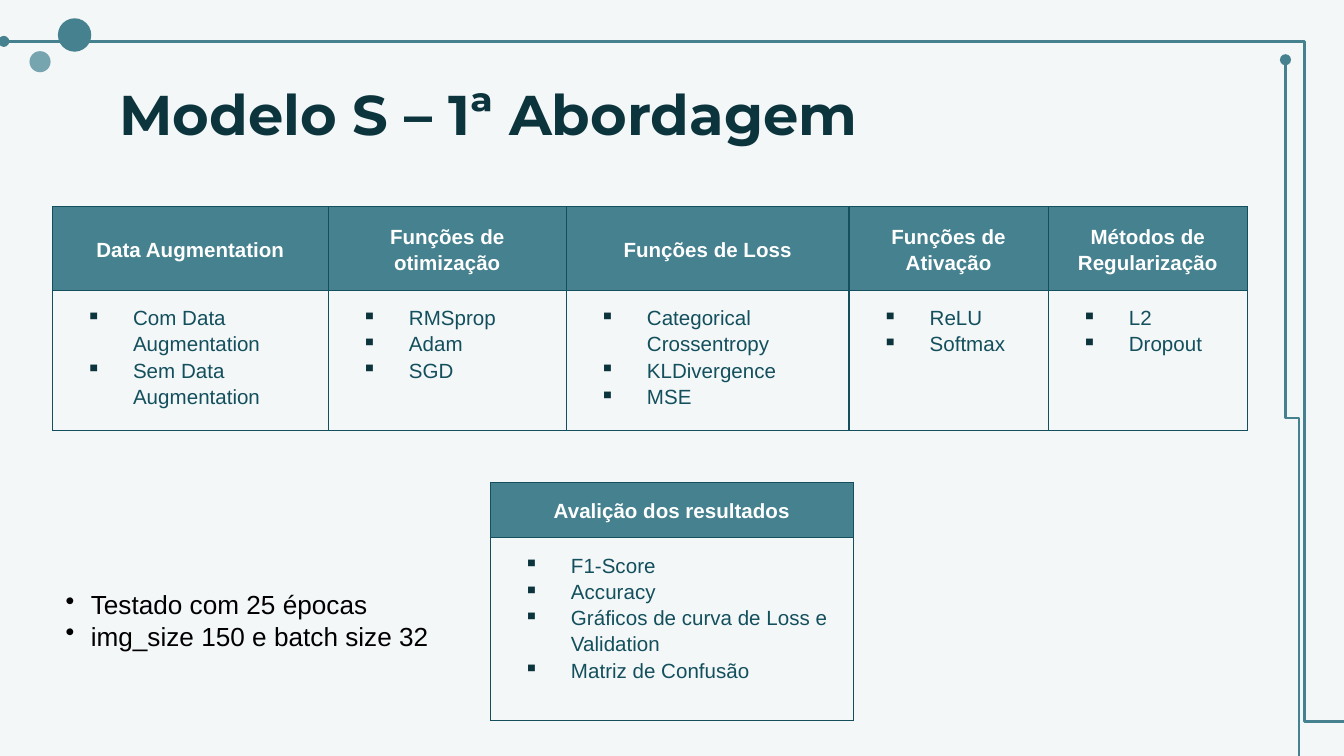
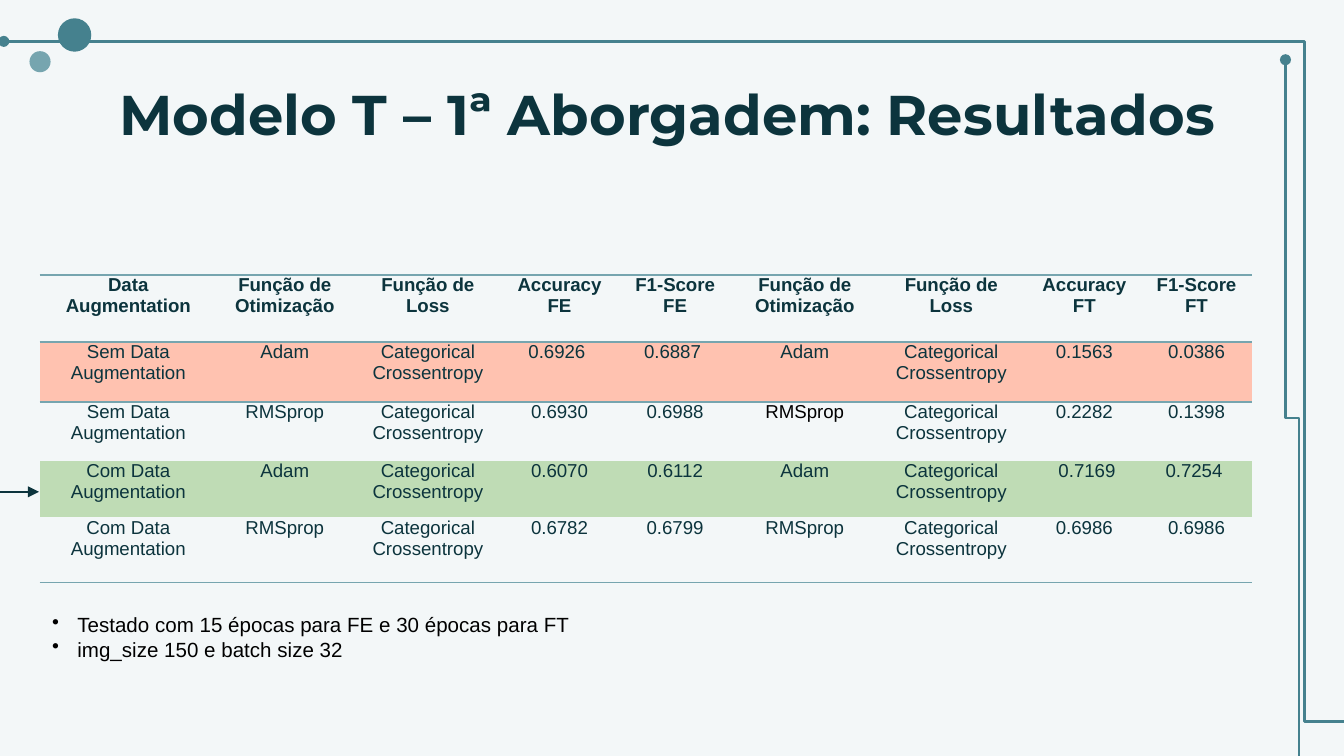
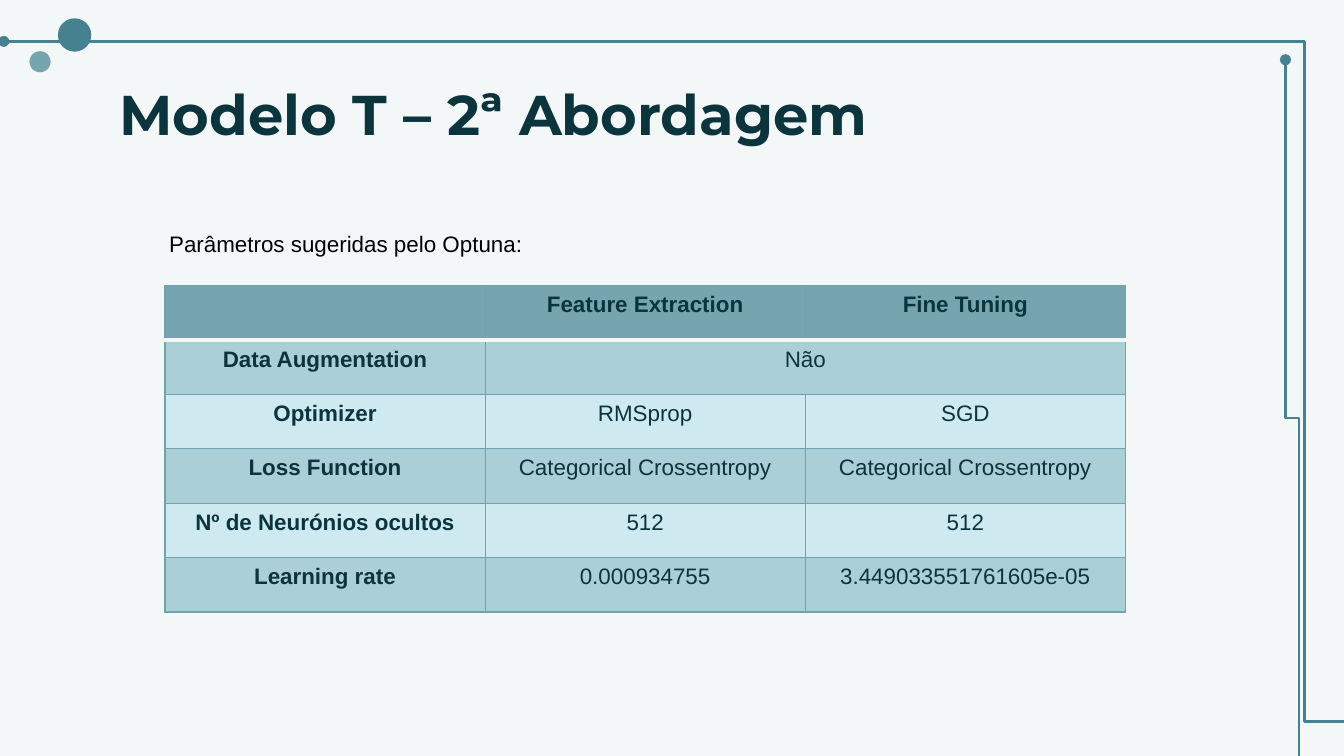
from lxml.etree import SubElement
from pptx import Presentation
from pptx.dml.color import RGBColor
from pptx.enum.shapes import MSO_CONNECTOR, MSO_SHAPE
from pptx.enum.text import MSO_ANCHOR, PP_ALIGN
from pptx.oxml.ns import qn
from pptx.util import Pt

PALE = RGBColor(0xF3, 0xF7, 0xF8)
TEAL = RGBColor(0x45, 0x81, 0x8E)
MIST = RGBColor(0x76, 0xA5, 0xAF)
EDGE = RGBColor(0x72, 0xA2, 0xAD)
DEEP = RGBColor(0x13, 0x4F, 0x5C)
INK = RGBColor(0x0C, 0x34, 0x3D)
WHITE = RGBColor(0xFF, 0xFF, 0xFF)
BLACK = RGBColor(0, 0, 0)
ROSE = RGBColor(0xFF, 0xC2, 0xB0)
GREEN = RGBColor(0xBF, 0xDC, 0xB5)
BAND = RGBColor(0xAA, 0xCF, 0xD7)
LIGHT = RGBColor(0xCE, 0xEA, 0xF0)
PLAIN = "{2D5ABB26-0587-4C30-8999-92F81FD0307C}"
SIDES = ("left", "right", "top", "bottom")


def put(item, values):
    """Set each named attribute of the item."""
    for name, value in values.items():
        setattr(item, name, value)


def write(frame, text, font, color, para=None, bullet=None):
    """Write one paragraph per line; bullet is (sign, left, hang, color)."""
    for i, line in enumerate(text.split("\n")):
        part = frame.add_paragraph() if i else frame.paragraphs[0]
        put(part, para or {})
        if bullet:
            sign, left, hang, tint = bullet
            props = part._p.get_or_add_pPr()
            props.set("marL", str(Pt(left)))
            props.set("indent", str(-Pt(hang)))
            SubElement(SubElement(props, qn("a:buClr")), qn("a:srgbClr"), val=str(tint))
            SubElement(props, qn("a:buChar"), char=sign)
        run = part.add_run()
        run.text = line
        put(run.font, font)
        run.font.color.rgb = color


deck = Presentation()
deck.slide_width, deck.slide_height = Pt(720), Pt(405)
pages = [deck.slides.add_slide(deck.slide_layouts[6]) for _ in range(3)]

# Shared frame: dots and lines; the last line is the arrow of the second slide
DOTS = [(15.8, 27.4, 11.3, MIST), (31, 9.8, 17.9, TEAL)]
FRAME = [
    dict(kind=MSO_CONNECTOR.ELBOW, ends=(722.9, 386.6, 2.1, 22.2),
         color=TEAL, width=1.5, tail="oval", bend=3300, turn=0),
    dict(kind=MSO_CONNECTOR.ELBOW, ends=(884.2, 220.3, 500.4, 227.5),
         color=TEAL, width=1.5, tail="oval", bend=50000, turn=90),
]
ARROW = dict(kind=MSO_CONNECTOR.STRAIGHT, ends=(0, 263.5, 20.9, 263.5),
             color=INK, width=0.75, tail="triangle", bend=None, turn=0)

for page, extra in zip(pages, ([], [ARROW], [])):
    page.background.fill.solid()
    page.background.fill.fore_color.rgb = PALE
    for left, top, size, color in DOTS:
        dot = page.shapes.add_shape(MSO_SHAPE.OVAL, Pt(left), Pt(top), Pt(size), Pt(size))
        dot.shadow.inherit = False
        dot.fill.solid()
        dot.fill.fore_color.rgb = color
        dot.line.fill.background()
    for row in FRAME + extra:
        line = page.shapes.add_connector(row["kind"], *map(Pt, row["ends"]))
        line.line.color.rgb = row["color"]
        line.line.width = Pt(row["width"])
        props = line._element.spPr
        SubElement(props.find(qn("a:ln")), qn("a:tailEnd"), type=row["tail"])
        SubElement(props, qn("a:effectLst"))
        if row["bend"]:
            guides = props.find(qn("a:prstGeom")).find(qn("a:avLst"))
            SubElement(guides, qn("a:gd"), name="adj1", fmla=f"val {row['bend']}")
        if row["turn"]:
            props.find(qn("a:xfrm")).set("rot", str(row["turn"] * 60000))

# Titles and notes
WIDE = {f"margin_{side}": Pt(7.2) for side in SIDES}
LOW = WIDE | {"vertical_anchor": MSO_ANCHOR.BOTTOM}
TITLE = dict(size=Pt(30), name="Montserrat", bold=True)
TITLES = ["Modelo S – 1ª Abordagem", "Modelo T – 1ª Aborgadem: Resultados",
          "Modelo T – 2ª Abordagem"]
NOTES = [
    ((28.1, 311.8, 218.2, 41), 14, {}, ("•", 13.5, 13.5, BLACK),
     "Testado com 25 épocas\nimg_size 150 e batch size 32"),
    ((20.9, 329, 444.2, 32.4), 11, LOW, ("•", 13.5, 13.5, BLACK),
     "Testado com 15 épocas para FE e 30 épocas para FT\nimg_size 150 e batch size 32"),
    ((83.5, 120.2, 507.6, 32.4), 12, LOW | {"margin_bottom": Pt(23)}, None,
     "Parâmetros sugeridas pelo Optuna:"),
]

for page, title, (place, size, box, bullet, note) in zip(pages, TITLES, NOTES):
    head = page.shapes.add_textbox(Pt(56.9), Pt(35.3), Pt(607), Pt(45.4)).text_frame
    put(head, WIDE | {"word_wrap": True})
    write(head, title, TITLE, INK)
    frame = page.shapes.add_textbox(*map(Pt, place)).text_frame
    put(frame, box | {"word_wrap": True})
    write(frame, note, dict(size=Pt(size), name="Arial"), BLACK, bullet=bullet)

# Tables: fills, edges and looks are given row by row
MID = {"alignment": PP_ALIGN.CENTER}
LOOSE = {"line_spacing": 1.15}
BOX = dict.fromkeys("LRTB", (DEEP, 0.75))
RULE = (MIST, 1)
SEAM = (PALE, 2)
GRID = dict.fromkeys("LRTB", (EDGE, 0.75))
CARD = dict(
    size=11, inset=WIDE, fills=[TEAL, None], edges=[BOX, BOX], lead=False,
    head=dict(color=WHITE, para=MID | LOOSE), body=dict(
        color=DEEP, para=LOOSE, bullet=("▪", 36, 25.2, INK)),
    anchors=[MSO_ANCHOR.MIDDLE, MSO_ANCHOR.TOP])
DARK = dict(color=INK, para=MID)
LOSS = "Categorical Crossentropy"
WITH, NONE = "Com Data\nAugmentation", "Sem Data\nAugmentation"

TABLES = [
    CARD | dict(
        page=0, at=(28.1, 110.7), cols=[147.8, 127.5, 151.5, 106.7, 106.7], rows=[42, 70.6],
        texts=[["Data Augmentation", "Funções de otimização", "Funções de Loss",
                "Funções de Ativação", "Métodos de Regularização"],
               ["Com Data Augmentation\nSem Data Augmentation", "RMSprop\nAdam\nSGD",
                f"{LOSS}\nKLDivergence\nMSE", "ReLU\nSoftmax", "L2\nDropout"]]),
    CARD | dict(
        page=0, at=(262.7, 258.5), cols=[194.5], rows=[28.2, 98],
        texts=[["Avalição dos resultados"],
               ["F1-Score\nAccuracy\nGráficos de curva de Loss e Validation\n"
                "Matriz de Confusão"]]),
    dict(
        page=1, at=(21.2, 147.3), cols=[95, 72.7, 80.6, 60.5, 63.4, 75.6, 81.4, 61.2, 59],
        rows=[36, 32, 31.6, 30.4, 34.8], size=10, lead=False, head=DARK, body=DARK,
        inset={"margin_top": 0, "margin_bottom": 0, "margin_left": Pt(5),
               "margin_right": Pt(5)},
        anchors=[MSO_ANCHOR.TOP] * 5, fills=[None, ROSE, None, GREEN, None],
        edges=[dict(T=RULE, B=RULE), dict(T=RULE), {}, {}, dict(B=RULE)],
        texts=[["Data Augmentation", "Função de Otimização", "Função de Loss",
                "Accuracy FE", "F1-Score FE", "Função de Otimização", "Função de Loss",
                "Accuracy FT", "F1-Score FT"]] + [
            [data, tune, LOSS, *first, tune, LOSS, *last] for data, tune, first, last in (
                (NONE, "Adam", ("0.6926 ", "0.6887 "), ("0.1563", "0.0386")),
                (NONE, "RMSprop", ("0.6930", "0.6988"), ("0.2282", "0.1398")),
                (WITH, "Adam", ("0.6070", "0.6112"), (" 0.7169", "0.7254 ")),
                (WITH, "RMSprop", ("0.6782", "0.6799"), ("0.6986", "0.6986")))]),
    dict(
        page=2, at=(88.4, 153), cols=[171.5] * 3, rows=[29.15] * 6, size=12, lead=True,
        head=DARK, body=DARK, inset={}, anchors=[MSO_ANCHOR.TOP] * 6,
        fills=[MIST, BAND, LIGHT, BAND, LIGHT, BAND],
        edges=[GRID | {"B": SEAM}, GRID | {"T": SEAM}] + [GRID] * 4,
        texts=[["", "Feature Extraction", "Fine Tuning"],
               ["Data Augmentation", "Não", ""],
               ["Optimizer", "RMSprop", "SGD"],
               ["Loss Function", LOSS, LOSS],
               ["Nº de Neurónios ocultos", "512", "512"],
               ["Learning rate", "0.000934755", "3.449033551761605e-05"]]),
]

made = []
for plan in TABLES:
    cols, rows = plan["cols"], plan["rows"]
    table = pages[plan["page"]].shapes.add_table(
        len(rows), len(cols), *map(Pt, plan["at"]), Pt(sum(cols)), Pt(sum(rows))).table
    made.append(table)
    table.horz_banding = False
    table._tbl.tblPr.find(qn("a:tableStyleId")).text = PLAIN
    for col, width in zip(table.columns, cols):
        col.width = Pt(width)
    for r, texts in enumerate(plan["texts"]):
        table.rows[r].height = Pt(rows[r])
        for c, text in enumerate(texts):
            cell = table.cell(r, c)
            put(cell, plan["inset"] | {"vertical_anchor": plan["anchors"][r]})
            props = cell._tc.get_or_add_tcPr()
            for side, (color, width) in plan["edges"][r].items():
                edge = SubElement(props, qn(f"a:ln{side}"), w=str(Pt(width)))
                SubElement(SubElement(edge, qn("a:solidFill")), qn("a:srgbClr"),
                           val=str(color))
            if plan["fills"][r]:
                cell.fill.solid()
                cell.fill.fore_color.rgb = plan["fills"][r]
            else:
                cell.fill.background()
            bold = r == 0 or (plan["lead"] and c == 0)
            font = dict(size=Pt(plan["size"]), name="Arial", bold=bold)
            write(cell.text_frame, text, font, **plan["body" if r else "head"])

made[2].cell(2, 5).text_frame.paragraphs[0].runs[0].font.color.rgb = BLACK
made[3].cell(1, 1).merge(made[3].cell(1, 2))

deck.save("out.pptx")
